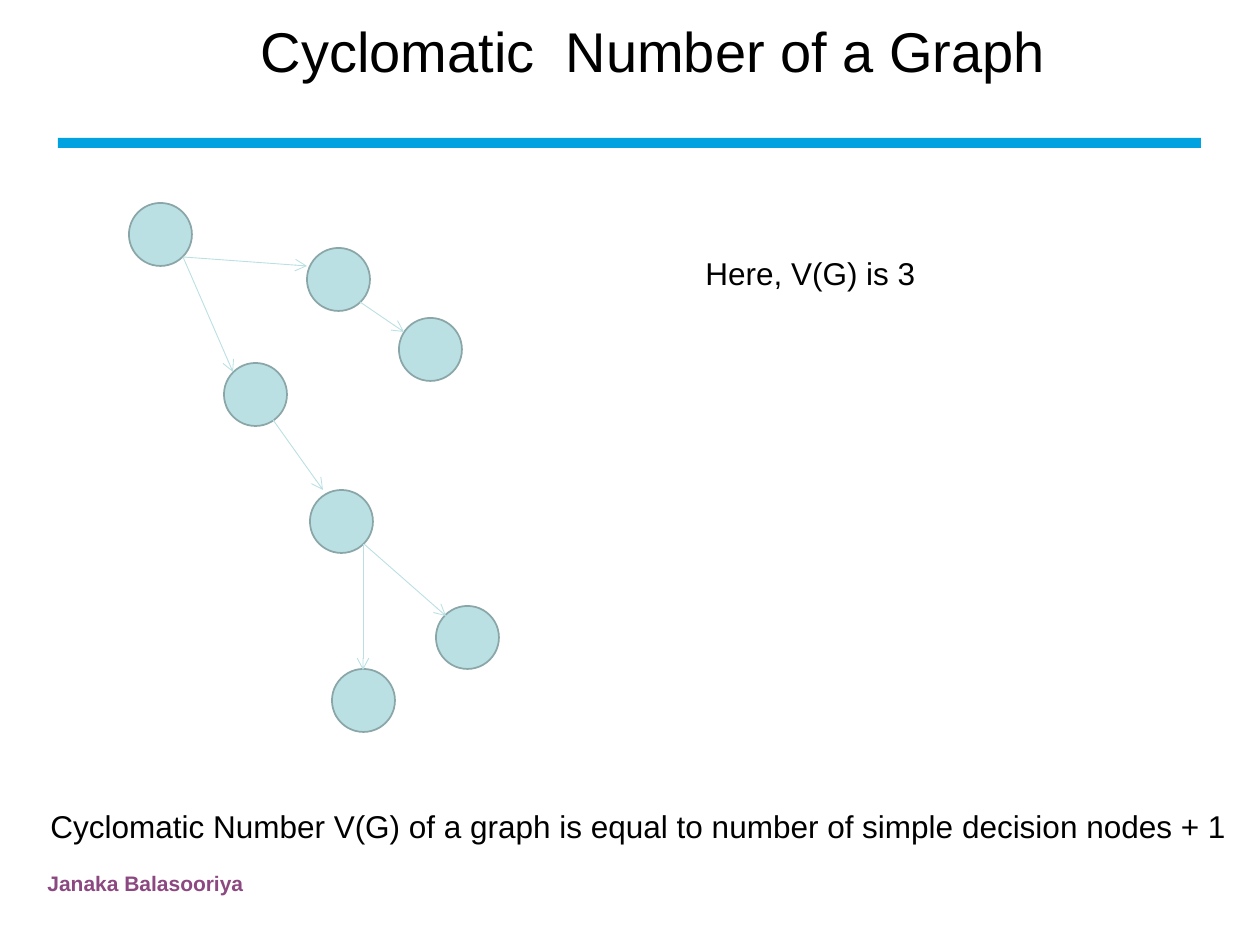
from lxml.etree import SubElement
from pptx import Presentation
from pptx.dml.color import RGBColor
from pptx.enum.shapes import MSO_CONNECTOR as Connector, MSO_SHAPE as Shape
from pptx.enum.text import MSO_AUTO_SIZE as AutoSize, PP_ALIGN as Align
from pptx.oxml.ns import qn
from pptx.util import Emu, Pt

PX = 914400 / 126
NODE_SIZE = 63
COLORS = {
    "text": "000000",
    "author": "8C4881",
    "rule": "00A2E0",
    "node": "BBE0E3",
    "outline": "8AA6A8",
}


def px(*lengths):
    return [Emu(round(length * PX)) for length in lengths]


def add_text(text, box, size=18, color="text", bold=False, align=Align.LEFT):
    frame = slide.shapes.add_textbox(*px(*box)).text_frame
    frame.word_wrap = True
    frame.auto_size = AutoSize.SHAPE_TO_FIT_TEXT
    paragraph = frame.paragraphs[0]
    paragraph.alignment = align
    run = paragraph.add_run()
    run.text = text
    run.font.name = "Arial"
    run.font.size = Pt(size)
    run.font.bold = bold
    run.font.color.rgb = RGBColor.from_string(COLORS[color])


prs = Presentation()
prs.slide_width, prs.slide_height = px(1260, 945)
slide = prs.slides.add_slide(prs.slide_layouts[6])

# Author, rule and title
add_text("Janaka Balasooriya", (35, 864, 320, 38), size=12, color="author", bold=True)

rule = slide.shapes.add_shape(Shape.RECTANGLE, *px(58, 138, 1143, 10))
rule.shadow.inherit = False
rule.fill.solid()
rule.fill.fore_color.rgb = RGBColor.from_string(COLORS["rule"])
rule.line.fill.background()

add_text("Cyclomatic  Number of a Graph", (176, 10, 955, 81), size=32, align=Align.CENTER)
add_text(
    "Cyclomatic Number V(G) of a graph is equal to number of simple decision nodes + 1",
    (38, 801, 1218, 50),
)

# Graph nodes: left, top
nodes = [(129, 203), (307, 248), (399, 318), (224, 363), (332, 669), (310, 490), (436, 606)]
for left, top in nodes:
    node = slide.shapes.add_shape(Shape.OVAL, *px(left, top, NODE_SIZE, NODE_SIZE))
    node.shadow.inherit = False
    node.fill.solid()
    node.fill.fore_color.rgb = RGBColor.from_string(COLORS["node"])
    node.line.color.rgb = RGBColor.from_string(COLORS["outline"])
    node.line.width = Pt(1)

# Graph edges: start x, start y, end x, end y
edges = [
    (183, 257, 307, 266),
    (183, 257, 233, 372),
    (360, 302, 404, 332),
    (363, 544, 363, 670),
    (261, 403, 323, 490),
    (364, 544, 446, 616),
]
for ends in edges:
    edge = slide.shapes.add_connector(Connector.STRAIGHT, *px(*ends))
    edge.line.color.rgb = RGBColor.from_string(COLORS["node"])
    edge.line.width = Pt(0.5)
    SubElement(edge.line._get_or_add_ln(), qn("a:tailEnd"), type="arrow")
    SubElement(edge._element.spPr, qn("a:effectLst"))

add_text("Here, V(G) is 3", (693, 248, 431, 50))

prs.save("out.pptx")
